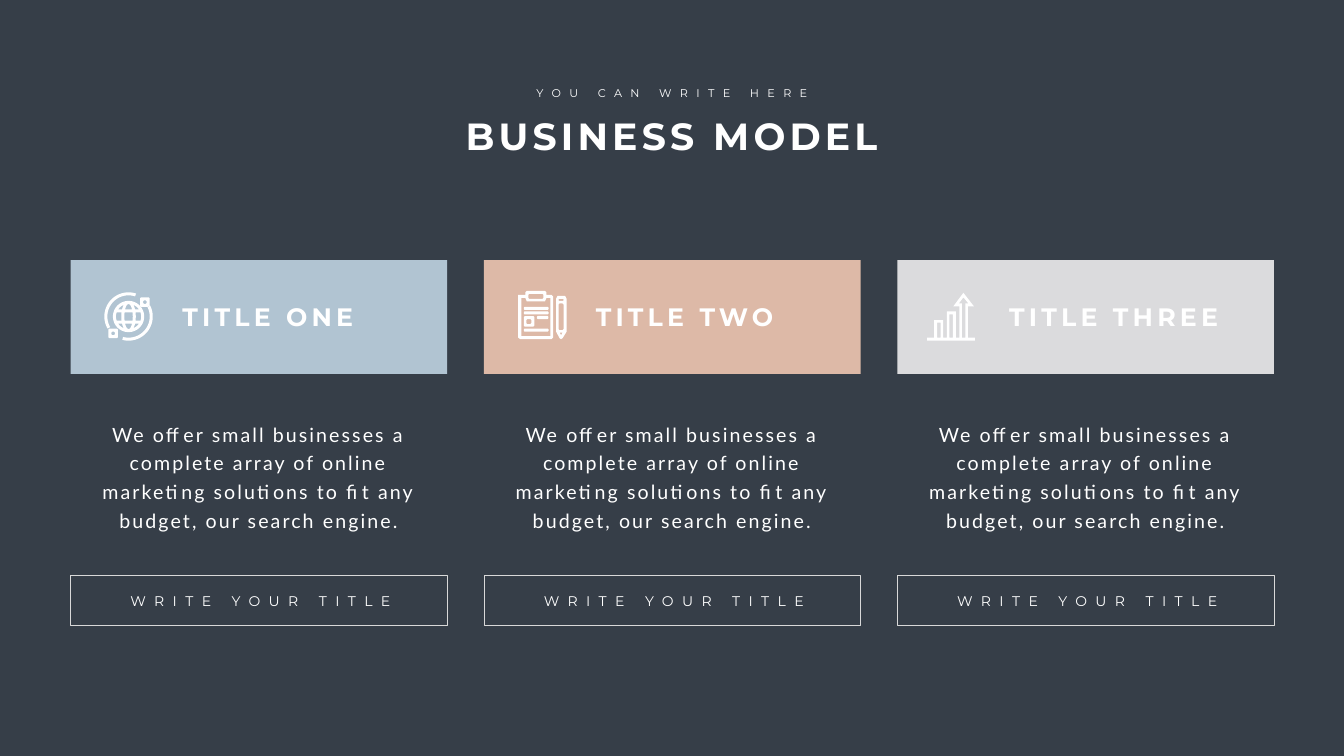
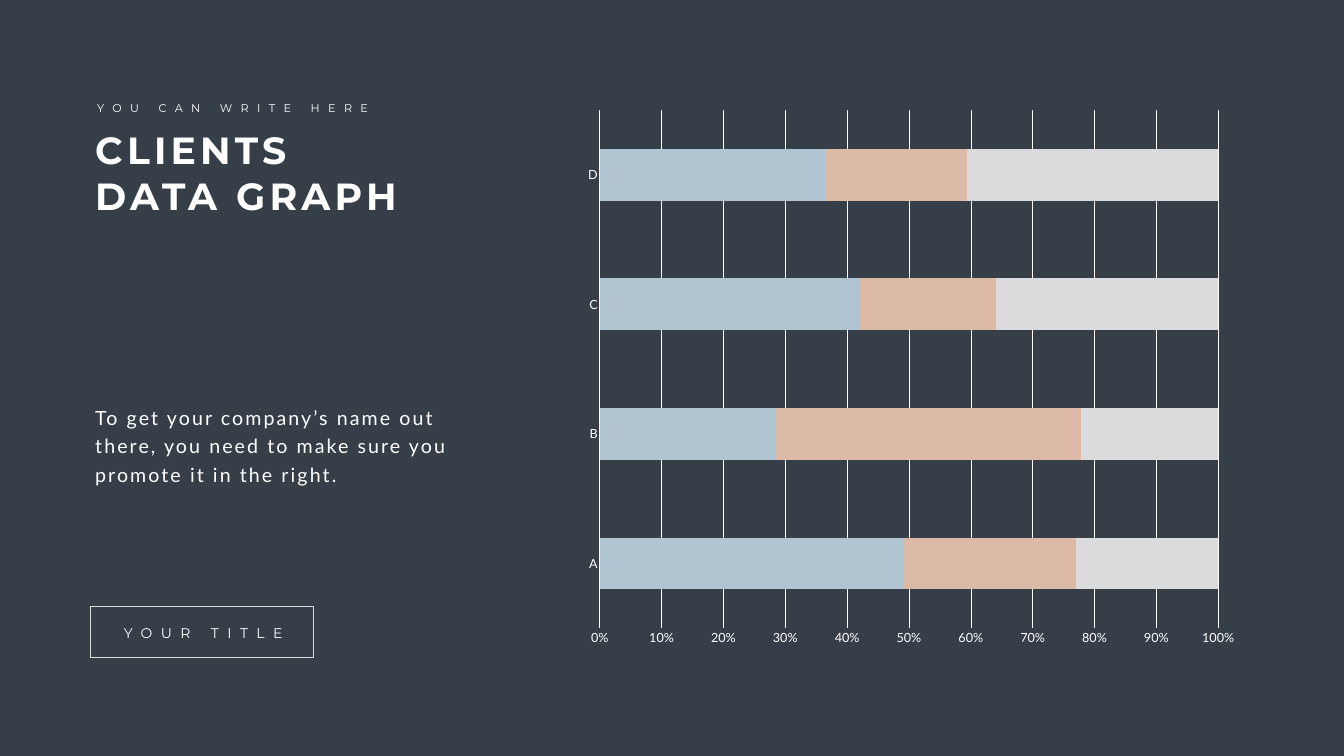
"""Build a business model slide and a clients data graph slide."""
import math

import pptx
import pptx.chart.data
import pptx.dml.color
import pptx.enum.chart
import pptx.enum.shapes
import pptx.enum.text
import pptx.oxml.ns
import pptx.util

NIGHT, WHITE, FRAME = "363E48", "FFFFFF", "D9D9D9"
ACCENTS = ["B1C4D2", "DDB9A7", "DBDBDD"]
HEADING = {"font": "Montserrat", "size": 54, "spacing": 6, "bold": True}
CARD_TITLE = {"font": "Montserrat", "size": 36, "spacing": 6, "bold": True}
KICKER = {"font": "Montserrat", "size": 16, "spacing": 12, "wrap": False}
BUTTON = {"font": "Montserrat", "size": 20, "spacing": 12, "wrap": False}
BODY = {"font": "Lato", "size": 28, "spacing": 3, "leading": 40.8}
LEFT, CENTER = pptx.enum.text.PP_ALIGN.LEFT, pptx.enum.text.PP_ALIGN.CENTER
RECTANGLE = pptx.enum.shapes.MSO_SHAPE.RECTANGLE
inches = pptx.util.Inches


def color(code):
    return pptx.dml.color.RGBColor.from_string(code)


def write(page, place, text, font, size, spacing, bold=False, wrap=True, leading=None, align=LEFT):
    frame = page.shapes.add_textbox(*map(inches, place)).text_frame
    frame.word_wrap = wrap
    frame.auto_size = pptx.enum.text.MSO_AUTO_SIZE.SHAPE_TO_FIT_TEXT
    para = frame.paragraphs[0]
    para.text = text
    para.alignment = align
    if leading:
        para.line_spacing = pptx.util.Pt(leading)
    para.font.name = font
    para.font.size = pptx.util.Pt(size)
    para.font.bold = bold
    para.font.color.rgb = color(WHITE)
    defaults = para._p.get_or_add_pPr().find(pptx.oxml.ns.qn("a:defRPr"))
    defaults.set("spc", str(spacing * 100))


deck = pptx.Presentation()
deck.slide_width, deck.slide_height = inches(26.66), inches(15)
model_page, graph_page = [deck.slides.add_slide(deck.slide_layouts[6]) for _ in range(2)]
for page in (model_page, graph_page):
    page.background.fill.solid()
    page.background.fill.fore_color.rgb = color(NIGHT)

margin, pitch, card_width = 1.4, 8.2, 7.47
columns = [margin + pitch * index for index in range(3)]

for left, accent in zip(columns, ACCENTS):
    band = model_page.shapes.add_shape(
        RECTANGLE, inches(left), inches(5.16), inches(card_width), inches(2.26))
    band.shadow.inherit = False
    band.fill.solid()
    band.fill.fore_color.rgb = color(accent)
    band.line.fill.background()

for left, title in zip(columns, ["TITLE ONE", "TITLE TWO", "TITLE THREE"]):
    write(model_page, (left + 2.12, 5.93, 5.34, 0.71), title, **CARD_TITLE)

globe_x, globe_y, globe_radius, rim = 2.55, 6.28, 0.25, 0.06
globe = [[(globe_x + 0.31 * math.cos(math.radians(angle)),
           globe_y + 0.31 * math.sin(math.radians(angle))) for angle in range(0, 360, 6)]]
for top, bottom in [(-0.25, -0.14), (-0.08, 0.08), (0.14, 0.25)]:
    for side in (-1, 0, 1):
        low, high = (max(top, -0.23), min(bottom, 0.23)) if side else (top, bottom)
        heights = [low + (high - low) * step / 8 for step in range(9)]
        chords = [math.sqrt(globe_radius ** 2 - height ** 2) for height in heights]
        if side:
            near = [side * (chord / 3 + rim) for chord in chords]
            far = [side * chord for chord in chords]
        else:
            near = [-chord / 3 for chord in chords]
            far = [chord / 3 for chord in chords]
        edge = list(zip(near, heights)) + list(zip(far, heights))[::-1]
        globe.append([(globe_x + x, globe_y + y) for x, y in edge])

orbits = []
for start, end, left, top in [(-27, 105, 2.78, 5.9), (150, 288, 2.15, 6.52)]:
    sweep = range(start, end + 1, 3)
    arc = [(radius, angle) for radius, angles in [(0.48, sweep), (0.42, sweep[::-1])]
           for angle in angles]
    orbits.append([
        [(globe_x + radius * math.cos(math.radians(angle)),
          globe_y + radius * math.sin(math.radians(angle))) for radius, angle in arc],
        (left, top, 0.19, 0.19), (left + rim, top + rim, 0.07, 0.07)])

clipboard = [
    [(10.28, 5.85), (10.42, 5.85), (10.42, 5.8), (10.45, 5.77), (10.81, 5.77), (10.84, 5.8),
     (10.84, 5.85), (10.94, 5.85), (10.97, 5.88), (10.97, 6.7), (10.94, 6.73), (10.32, 6.73),
     (10.28, 6.7)],
    [(10.34, 5.91), (10.42, 5.91), (10.45, 5.98), (10.81, 5.98), (10.84, 5.91), (10.92, 5.91),
     (10.92, 6.67), (10.34, 6.67)],
    (10.48, 5.83, 0.3, 0.1)]
text_lines = [[(10.39, top, 0.49, rim)] for top in (6.09, 6.18, 6.52)]
text_lines.append([(10.65, 6.27, 0.23, rim)])
checkbox = [(10.39, 6.27, 0.21, 0.21), (10.44, 6.33, 0.1, 0.1)]
pencil = [
    [(11.03, 5.93), (11.06, 5.87), (11.21, 5.87), (11.24, 5.93), (11.24, 6.58), (11.16, 6.71),
     (11.13, 6.73), (11.1, 6.71), (11.03, 6.58)],
    (11.08, 5.93, 0.1, 0.04), (11.08, 6.02, 0.1, 0.53),
    [(11.1, 6.6), (11.16, 6.6), (11.13, 6.65)]]

growth = [
    [(18.39, 6.7), (18.53, 6.7), (18.53, 6.35), (18.71, 6.35), (18.71, 6.7), (18.78, 6.7),
     (18.78, 6.18), (18.96, 6.18), (18.96, 6.7), (19.03, 6.7), (19.03, 6.08), (18.91, 6.08),
     (19.11, 5.81), (19.32, 6.08), (19.2, 6.08), (19.2, 6.7), (19.34, 6.7), (19.34, 6.76),
     (18.39, 6.76)],
    [(18.59, 6.4), (18.66, 6.4), (18.66, 6.7), (18.59, 6.7)],
    [(18.83, 6.24), (18.9, 6.24), (18.9, 6.7), (18.83, 6.7)],
    [(19.02, 6.02), (19.11, 5.9), (19.21, 6.02), (19.15, 6.02), (19.15, 6.7), (19.08, 6.7),
     (19.08, 6.02)]]

for outlines in [clipboard, *text_lines, checkbox, pencil, globe, *orbits, growth]:
    builder = None
    for outline in outlines:
        if isinstance(outline, tuple):
            left, top, width, height = outline
            right, bottom, cut = left + width, top + height, min(0.02, height / 4)
            outline = [(left + cut, top), (right - cut, top), (right, top + cut),
                       (right, bottom - cut), (right - cut, bottom), (left + cut, bottom),
                       (left, bottom - cut), (left, top + cut)]
        points = [(inches(x), inches(y)) for x, y in outline]
        if builder is None:
            builder = model_page.shapes.build_freeform(*points[0], scale=1.0)
        else:
            builder.move_to(*points[0])
        builder.add_line_segments(points[1:], close=True)
    icon = builder.convert_to_shape()
    icon.shadow.inherit = False
    icon.fill.solid()
    icon.fill.fore_color.rgb = color(WHITE)
    icon.line.fill.background()

offer = ("We offer small businesses a complete array of online marketing solutions "
         "to fit any budget, our search engine.")
for left in columns:
    write(model_page, (left + 0.39, 8.24, 6.68, 2.34), offer, align=CENTER, **BODY)

buttons = [(model_page, left, 11.41, card_width, 5.59, "WRITE YOUR TITLE") for left in columns]
buttons.append((graph_page, 1.79, 12.04, 4.42, 3.56, "YOUR TITLE"))
for page, left, top, width, text_width, label in buttons:
    border = page.shapes.add_shape(
        RECTANGLE, inches(left), inches(top), inches(width), inches(1))
    border.shadow.inherit = False
    border.fill.background()
    border.line.color.rgb = color(FRAME)
    border.line.width = pptx.util.Pt(1)
    text_left = left + (width - text_width) / 2 + 0.03
    write(page, (text_left, top + 0.3, text_width, 0.44), label, align=CENTER, **BUTTON)

kicker = "YOU CAN WRITE HERE"
write(model_page, (8.77, 2.18, 9.11, 1.01), "BUSINESS MODEL", align=CENTER, **HEADING)
write(model_page, (10.44, 1.67, 5.78, 0.37), kicker, align=CENTER, **KICKER)
write(graph_page, (1.79, 2.47, 6.77, 1.92), "CLIENTS DATA GRAPH", **HEADING)
write(graph_page, (1.83, 1.96, 5.78, 0.37), kicker, **KICKER)
write(graph_page, (1.79, 7.9, 7.37, 1.77),
      "To get your company’s name out there, you need to make sure you promote it in the right.",
      **BODY)

shares = pptx.chart.data.CategoryChartData()
shares.categories = ["A", "B", "C", "D"]
for number, values in enumerate([(49, 28, 42, 37), (28, 49, 22, 23), (23, 22, 36, 41)], 1):
    shares.add_series(f"Series {number}", values)
chart = graph_page.shapes.add_chart(
    pptx.enum.chart.XL_CHART_TYPE.BAR_STACKED_100,
    inches(11.4), inches(1.96), inches(13.35), inches(11.07), shares).chart
chart.has_legend = False
chart.has_title = False
chart.font.name = "Calibri"
chart.font.size = pptx.util.Pt(10)
chart.font.color.rgb = color(WHITE)
plot = chart.plots[0]
plot.gap_width, plot.overlap, plot.vary_by_categories = 150, 100, False
for series, accent in zip(plot.series, ACCENTS):
    series.format.fill.solid()
    series.format.fill.fore_color.rgb = color(accent)

for axis in (chart.category_axis, chart.value_axis):
    axis.major_tick_mark = axis.minor_tick_mark = pptx.enum.chart.XL_TICK_MARK.NONE
    axis.tick_labels.font.name = "Lato"
    axis.tick_labels.font.size = pptx.util.Pt(18)
    axis.tick_labels.font.color.rgb = color(WHITE)
chart.value_axis.tick_labels.number_format = "0%"
chart.value_axis.tick_labels.number_format_is_linked = False
chart.value_axis.format.line.fill.background()
chart.value_axis.has_major_gridlines = True
for line in (chart.category_axis.format.line, chart.value_axis.major_gridlines.format.line):
    line.color.rgb = color(WHITE)
    line.width = pptx.util.Pt(0.75)

deck.save("out.pptx")
